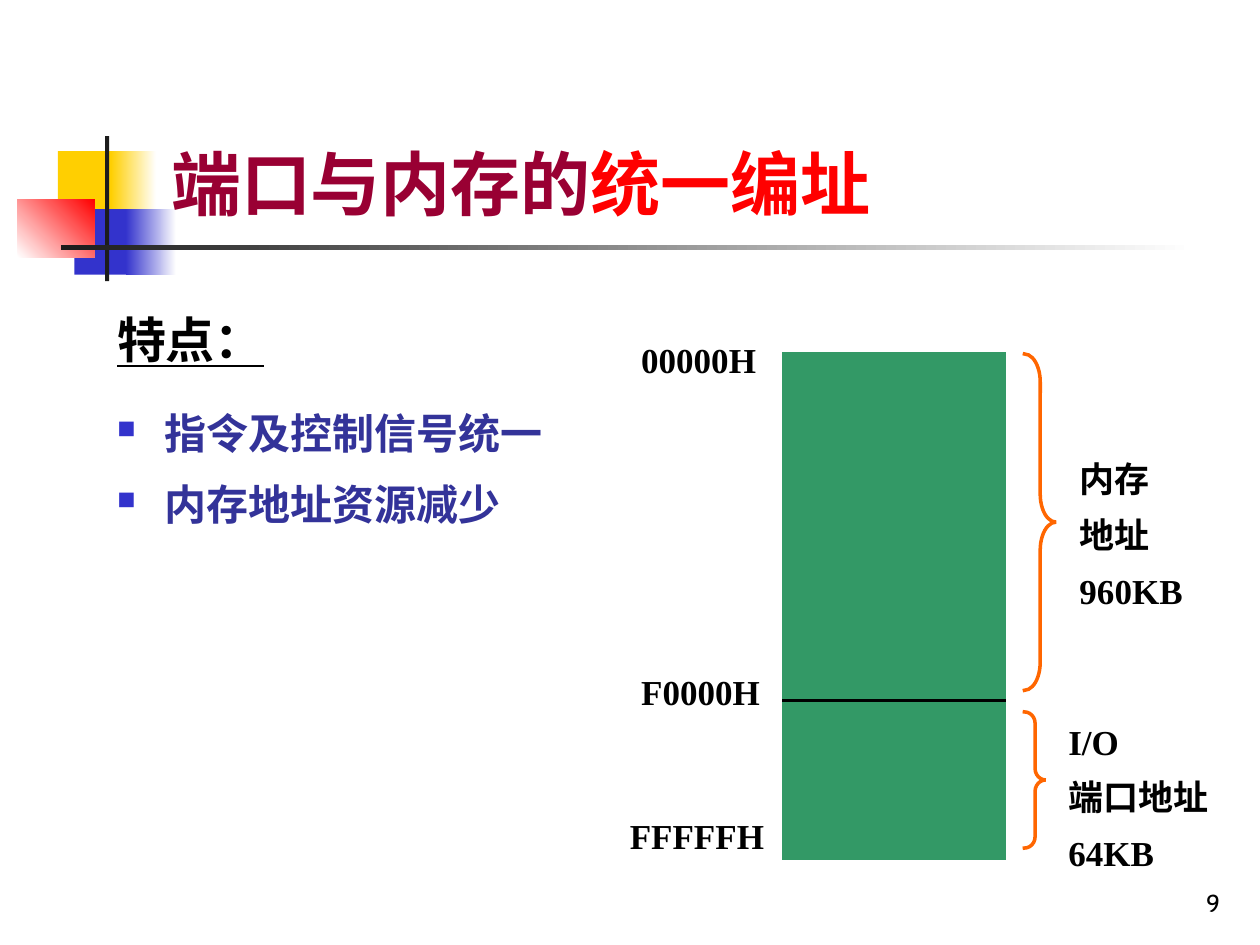
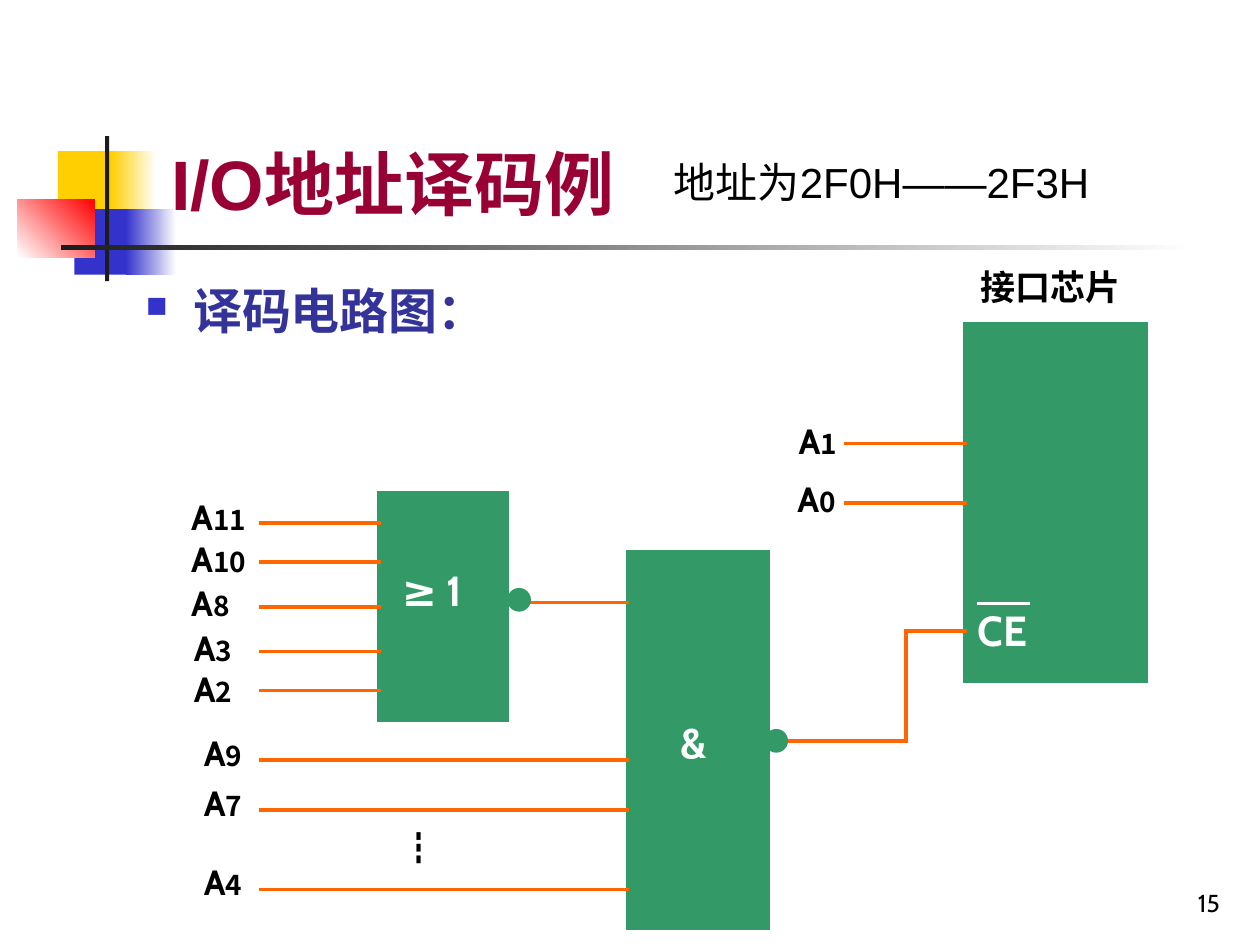
from lxml.etree import SubElement
from pptx import Presentation
from pptx.dml.color import RGBColor
from pptx.enum.shapes import MSO_CONNECTOR, MSO_SHAPE
from pptx.enum.text import MSO_ANCHOR, PP_ALIGN
from pptx.oxml.ns import qn
from pptx.util import Pt

# Shared look
BLACK, WHITE, WINE, RED = "000000", "FFFFFF", "990033", "FF0000"
GREEN, ORANGE, NAVY, BLUE = "339966", "FF6600", "333399", "3333CC"
GOLD, DARK = "FFCF01", "1C1C1C"
SANS, SERIF, LABEL, CJK = "Arial", "Times New Roman", "Cabin", "Noto Sans CJK SC"
HANG = 27

# Corner motif: box, colours (two make a gradient), angle
MOTIF = [
    ((33.1, 86.4, 34.6, 37.4), [GOLD], 0),
    ((63.4, 86.4, 25.9, 37.4), [GOLD, WHITE], 0),
    ((42.5, 119.5, 33.1, 37.4), [BLUE], 0),
    ((72, 119.5, 28.8, 37.4), [BLUE, WHITE], 0),
    ((10.1, 113.8, 43.9, 33.1), [WHITE, RED], 45),
    ((60, 77.8, 2.4, 82.8), [DARK], 0),
    ((34.6, 140, 648, 2.7), [DARK, WHITE], 0),
]

# Memory map
MAP = {
    "title": [("端口与内存的", {}), ("统一编址", {"color": RED})],
    "page": "9",
    "head": "特点：",
    "points": ["指令及控制信号统一", "内存地址资源减少"],
    "marks": [("00000H", 359.3, 194.4), ("F0000H", 359.3, 384.5),
              ("FFFFFH", 352.8, 466.6)],
    # Brace box, bend, note place, note lines
    "spans": [
        ((585.4, 202.3, 18, 192.2), 0.89, (609.8, 262.8),
         ["内存", "地址", "960KB"]),
        ((585.4, 406.8, 12.2, 77.8), 0.53, (603.4, 412.6),
         ["I/O", "端口地址", "64KB"]),
    ],
}
MEMORY = (447.8, 202.3, 126, 288)
SPLIT = 400.3

# Decoder circuit
CIRCUIT = {
    "title": [("I/O地址译码例", {})],
    "page": "15",
    "range": "地址为2F0H——2F3H",
    "head": "译码电路图：",
}
CHIP = (551.5, 185, 103.7, 204.5)
AND = (358.6, 315.4, 80.6, 215.3)
OR = (216.7, 281.5, 73.4, 130.3)
DOTS = [(290.9, 337), (437.8, 417.6)]
# Wire start, part it ends at, pins: number, label left, label top, wire height
PINS = [
    (149, OR, [("11", 102.2, 279.4, 298.8), ("10", 102.2, 303.8, 321.1),
               ("8", 102.2, 329, 347), ("3", 103.7, 354.2, 372.2),
               ("2", 103.7, 378, 394.6)]),
    (149, AND, [("9", 109.4, 414.7, 434.2), ("7", 109.4, 442.8, 463),
                ("4", 109.4, 488.2, 508.3)]),
    (483.1, CHIP, [("1", 449.3, 236.2, 253.4), ("0", 448.6, 269.3, 287.3)]),
]
ROUTES = [
    [(290.9, 344.2), (358.6, 344.2)],
    [(449.3, 423.4), (517.7, 423.4), (517.7, 360.7), (551.5, 360.7)],
]
SIGNS = [("≥ 1", 222.5, 319), ("&", 381.6, 406.1), ("CE", 551.5, 342)]


def paint(code):
    return RGBColor.from_string(code)


def style(font, size=None, color=None, face=None, bold=None, line=None):
    if size:
        font.size = Pt(size)
    if color:
        font.color.rgb = paint(color)
    if bold is not None:
        font.bold = bold
    if line:
        font.underline = True
    if face:
        font.name = face


def write(slide, box, rows, gap=0, lead=None, low=False, **look):
    """Add a text box; a row is a string or a list of (text, changes)."""
    frame = slide.shapes.add_textbox(*map(Pt, box)).text_frame
    frame.word_wrap = True
    if low:
        frame.vertical_anchor = MSO_ANCHOR.BOTTOM
    for i, row in enumerate(rows):
        para = frame.add_paragraph() if i else frame.paragraphs[0]
        para.space_before = Pt(gap if i else 0)
        if lead:
            para.line_spacing = lead
        runs = [(row, {})] if isinstance(row, str) else row
        for text, change in runs:
            run = para.add_run()
            run.text = text
            style(run.font, **change)
        set_font(para, **look)
    return frame


def set_font(para, **look):
    style(para.font, **look)
    node = para.font._element
    if node.find(qn("a:ea")) is None and node.find(qn("a:latin")) is not None:
        east = SubElement(node, qn("a:ea"))
        east.set("typeface", CJK)


def indent(para, bullet=True):
    props = para._p.get_or_add_pPr()
    props.set("marL", str(Pt(HANG)))
    props.set("indent", str(-Pt(HANG)))
    if bullet:
        # Bullet parts go in front of the paragraph's font
        font = props.find(qn("a:defRPr"))
        tint = SubElement(props, qn("a:buClr"))
        SubElement(tint, qn("a:srgbClr")).set("val", BLUE)
        size = SubElement(props, qn("a:buSzPct"))
        size.set("val", "60000")
        mark = SubElement(props, qn("a:buChar"))
        mark.set("char", "■")
        for part in (tint, size, mark):
            font.addprevious(part)


def stroke(line, color):
    """Draw a 2 pt line with square ends and sharp corners."""
    line.color.rgb = paint(color)
    line.width = Pt(2)
    node = line._get_or_add_ln()
    node.set("cap", "sq")
    SubElement(node, qn("a:miter")).set("lim", "800000")


def block(slide, box, colors, angle=0, edge=None, kind=MSO_SHAPE.RECTANGLE):
    shape = slide.shapes.add_shape(kind, *map(Pt, box))
    shape.shadow.inherit = False
    if len(colors) == 2:
        shape.fill.gradient()
        shape.fill.gradient_angle = angle
        for stop, color in zip(shape.fill.gradient_stops, colors):
            stop.color.rgb = paint(color)
    elif colors:
        shape.fill.solid()
        shape.fill.fore_color.rgb = paint(colors[0])
    else:
        shape.fill.background()
    if edge:
        stroke(shape.line, edge)
    else:
        shape.line.fill.background()
    return shape


def wire(slide, start, end, color=ORANGE):
    line = slide.shapes.add_connector(
        MSO_CONNECTOR.STRAIGHT, *map(Pt, start + end))
    stroke(line.line, color)
    SubElement(line._element.spPr, qn("a:effectLst"))


def start(deck, data):
    """Add a slide with motif, page number and title."""
    slide = deck.slides.add_slide(deck.slide_layouts[6])
    for box, colors, angle in MOTIF:
        block(slide, box, colors, angle)
    page = write(slide, (554.4, 491.8, 149.8, 36), [data["page"]], low=True,
                 size=14, color=BLACK, face=LABEL)
    page.paragraphs[0].alignment = PP_ALIGN.RIGHT
    write(slide, (90.7, 16.6, 613.4, 115.2), [data["title"]], low=True,
          size=40, color=WINE, face=SANS, bold=True)
    return slide


def draw_map(deck):
    slide = start(deck, MAP)
    # Points
    body = write(slide, (59.8, 173.5, 272.2, 311.8),
                 [MAP["head"]] + MAP["points"], gap=6,
                 size=24, color=NAVY, face=SANS, bold=True)
    head, *points = body.paragraphs
    indent(head, bullet=False)
    head.space_after = Pt(10.5)
    style(head.font, size=28, color=BLACK, line=True)
    for para in points:
        para.line_spacing = 1.2
        indent(para)
    # Memory bar
    block(slide, MEMORY, [GREEN], edge=GREEN)
    left, _, width, _ = MEMORY
    wire(slide, (left, SPLIT), (left + width, SPLIT), BLACK)
    # Braces, notes and addresses
    look = dict(gap=12.5, lead=0.8, size=20, color=BLACK, face=SERIF, bold=True)
    for box, bend, place, note in MAP["spans"]:
        brace = block(slide, box, [], edge=ORANGE, kind=MSO_SHAPE.RIGHT_BRACE)
        brace.adjustments[0] = bend
        write(slide, place + (102, 90), note, **look)
    for text, x, y in MAP["marks"]:
        write(slide, (x, y, 114.5, 26.6), [text], **look)


def draw_circuit(deck):
    slide = start(deck, CIRCUIT)
    body = write(slide, (76.3, 157, 340.6, 49), [CIRCUIT["head"]],
                 size=28, color=NAVY, face=SANS, bold=True)
    indent(body.paragraphs[0])
    # Gates and chip
    for box in (CHIP, AND, OR):
        block(slide, box, [GREEN], edge=GREEN)
    # Address pins
    look = dict(size=20, color=BLACK, face=LABEL, bold=True)
    for left, part, pins in PINS:
        for num, x, top, y in pins:
            wire(slide, (left, y), (part[0], y))
            write(slide, (x, top, 56.9, 31.7),
                  [[("A", {}), (num, {"size": 16, "face": CJK})]], **look)
    # Outputs
    for route in ROUTES:
        for a, b in zip(route, route[1:]):
            wire(slide, a, b)
    for dot in DOTS:
        block(slide, dot + (11.5, 11.5), [GREEN], edge=GREEN,
              kind=MSO_SHAPE.OVAL)
    # Signs and captions
    for text, x, y in SIGNS:
        write(slide, (x, y, 68.4, 36), [text],
              size=24, color=WHITE, face=LABEL, bold=True)
    wire(slide, (559.4, 344.9), (587.5, 344.9), WHITE)
    write(slide, (222.5, 468.7, 45.4, 31.7), ["┇"],
          size=20, color=BLACK, face=CJK, bold=True)
    write(slide, (553, 148.3, 113, 31.7), ["接口芯片"], **look)
    write(slide, (378, 85.7, 275, 36), [CIRCUIT["range"]],
          size=24, color=BLACK, face=SANS)


def main():
    deck = Presentation()
    deck.slide_width, deck.slide_height = Pt(720), Pt(540)
    draw_map(deck)
    draw_circuit(deck)
    deck.save("out.pptx")


if __name__ == "__main__":
    main()
